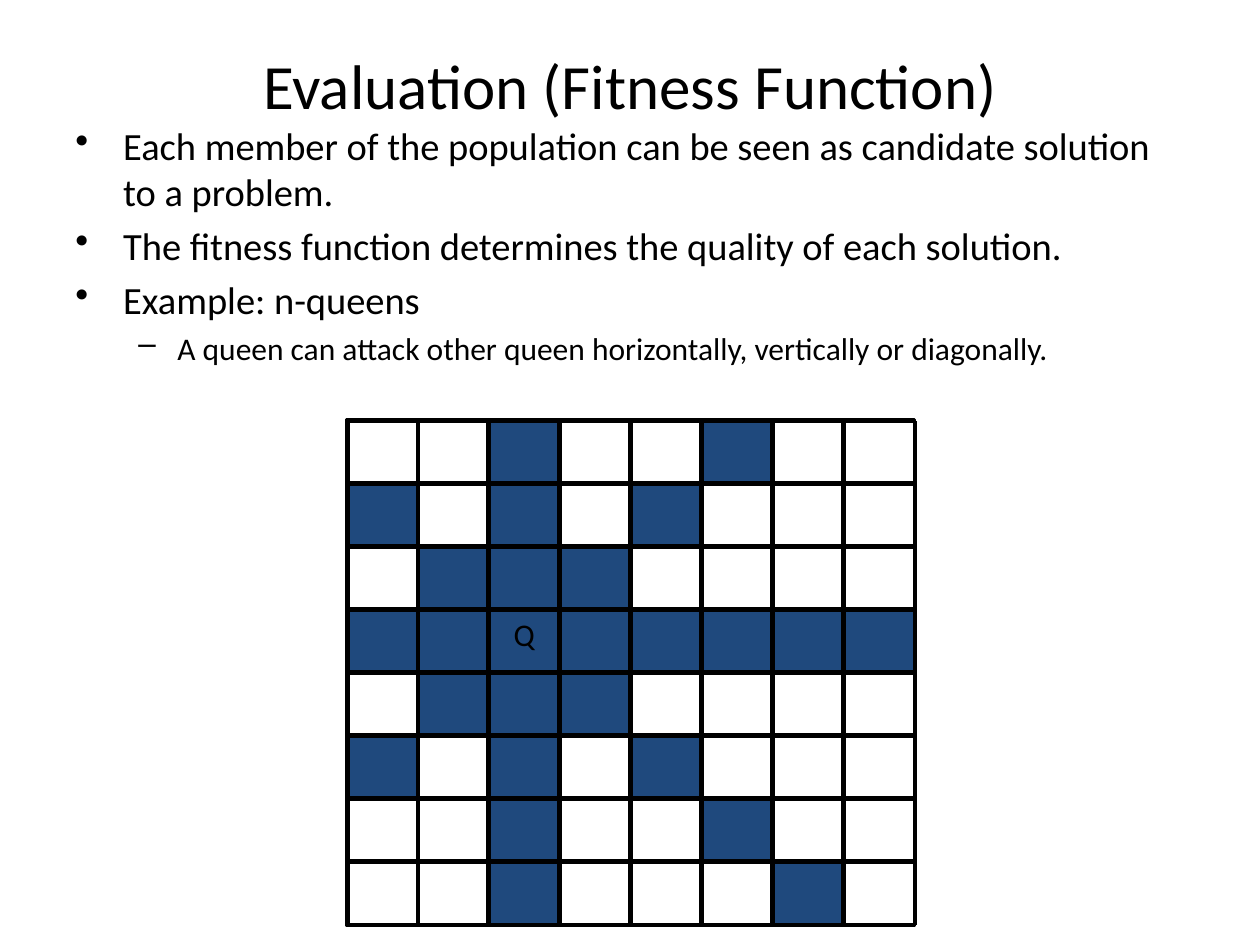
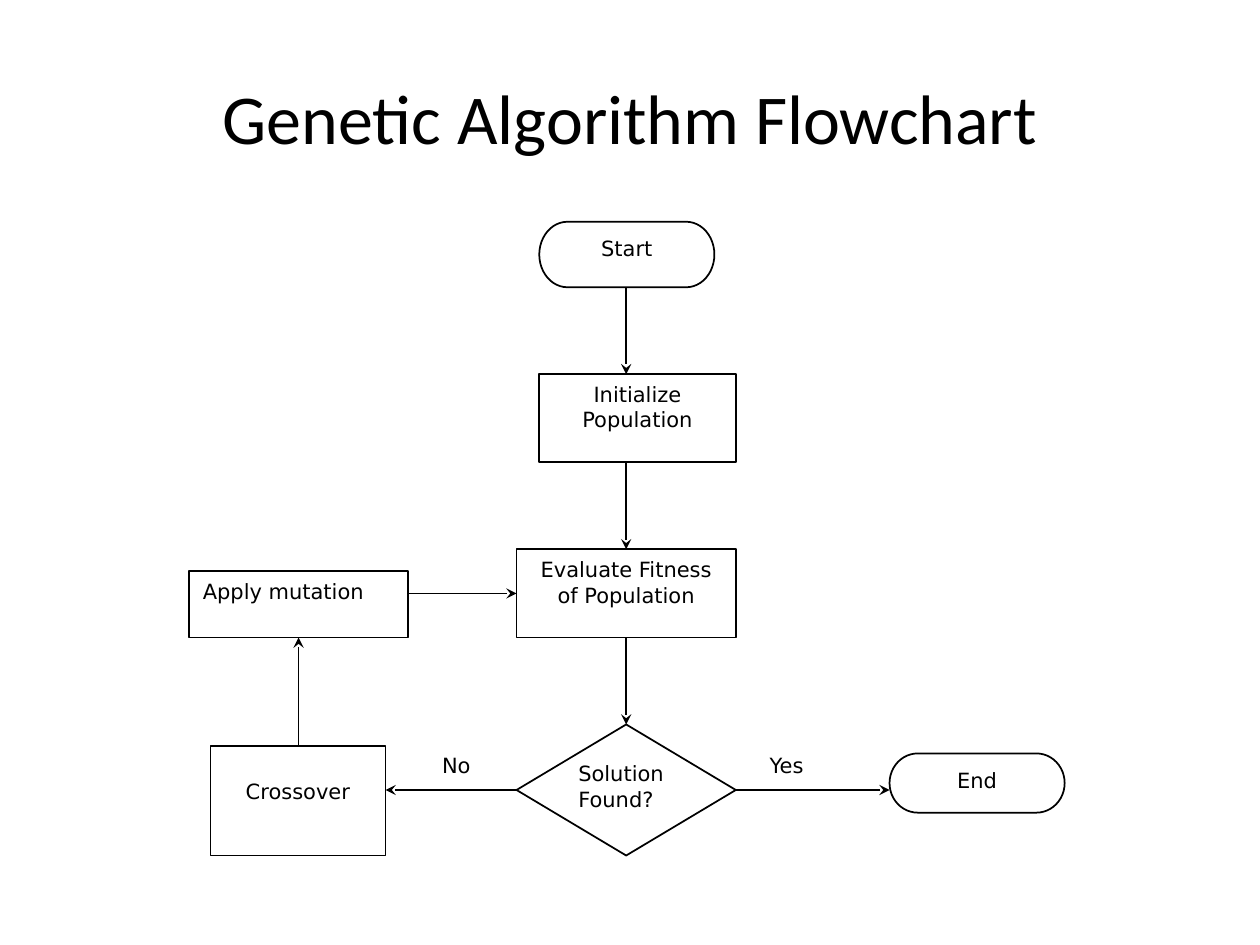
from dataclasses import dataclass

from lxml import etree
from pptx import Presentation
from pptx.dml.color import RGBColor
from pptx.enum.shapes import MSO_CONNECTOR, MSO_SHAPE
from pptx.enum.text import MSO_ANCHOR, PP_ALIGN
from pptx.oxml.ns import qn
from pptx.util import Inches, Pt

LEFT, CENTER = PP_ALIGN.LEFT, PP_ALIGN.CENTER
TOP, MIDDLE = MSO_ANCHOR.TOP, MSO_ANCHOR.MIDDLE
RECTANGLE, DIAMOND = MSO_SHAPE.RECTANGLE, MSO_SHAPE.DIAMOND
TERMINATOR = MSO_SHAPE.FLOWCHART_TERMINATOR
STRAIGHT = MSO_CONNECTOR.STRAIGHT


@dataclass(frozen=True)
class Theme:
    ink: RGBColor = RGBColor(0, 0, 0)
    paper: RGBColor = RGBColor(255, 255, 255)
    attacked: RGBColor = RGBColor(0x1F, 0x49, 0x7D)
    font: str = "Calibri"
    chart_font: str = "DejaVu Sans"
    chart_size: int = 12
    queen_size: int = 18
    body_sizes: tuple = (22, 18)
    grid_line: float = 2
    chart_line: float = 1


THEME = Theme()


@dataclass(frozen=True)
class Box:
    left: float
    top: float
    width: float
    height: float

    @property
    def right(self):
        return self.left + self.width

    @property
    def bottom(self):
        return self.top + self.height

    def place(self, left, top, width, height):
        """Turn a rectangle relative to this box into a slide rectangle."""
        return Box(self.left + left, self.top + top, width, height)

    def inset(self, across, down):
        return self.place(across, down, self.width - 2 * across, self.height - 2 * down)

    def lengths(self):
        return [Inches(n) for n in (self.left, self.top, self.width, self.height)]


def style_runs(paragraph, size, font, align):
    paragraph.alignment = align
    for run in paragraph.runs:
        run.font.size = Pt(size)
        run.font.name = font
        run.font.color.rgb = THEME.ink


def prepare_frame(shape, anchor=TOP, padded=True):
    text_frame = shape.text_frame
    text_frame.word_wrap = True
    text_frame.vertical_anchor = anchor
    text_frame.margin_left = text_frame.margin_right = Inches(0.1 if padded else 0)
    text_frame.margin_top = text_frame.margin_bottom = Inches(0.05 if padded else 0)
    return text_frame


def write_text(shape, text, size, font, align=LEFT, anchor=TOP, padded=True):
    text_frame = prepare_frame(shape, anchor, padded)
    text_frame.text = text
    style_runs(text_frame.paragraphs[0], size, font, align)


def add_title(slide, box, text, size):
    shape = slide.shapes.add_textbox(*box.lengths())
    write_text(shape, text, size, THEME.font, CENTER, MIDDLE)


def add_shape(slide, kind, box, fill=None, line_width=None):
    shape = slide.shapes.add_shape(kind, *box.lengths())
    shape.shadow.inherit = False
    if fill is None:
        shape.fill.background()
    else:
        shape.fill.solid()
        shape.fill.fore_color.rgb = fill
    if line_width is None:
        shape.line.fill.background()
    else:
        shape.line.color.rgb = THEME.ink
        shape.line.width = Pt(line_width)
    return shape


def add_line(slide, start, end, width, arrow=False):
    points = [Inches(n) for n in (*start, *end)]
    connector = slide.shapes.add_connector(STRAIGHT, *points)
    connector.line.color.rgb = THEME.ink
    connector.line.width = Pt(width)
    if arrow:
        line = connector.line._get_or_add_ln()
        etree.SubElement(line, qn("a:tailEnd"), type="stealth")
    etree.SubElement(connector._element.spPr, qn("a:effectLst"))


def add_bullets(slide, box, items):
    """Write (level, text) items with hanging bullets."""
    styles = (("•", 0.38, 0.38, 4.4), ("–", 0.81, 0.31, 3.6))
    text_frame = prepare_frame(slide.shapes.add_textbox(*box.lengths()))
    for index, (level, text) in enumerate(items):
        mark, margin, hanging, space = styles[level]
        paragraph = text_frame.paragraphs[0] if index == 0 else text_frame.add_paragraph()
        paragraph.text = text
        paragraph.level = level
        paragraph.space_before = Pt(space if index else 0)
        style_runs(paragraph, THEME.body_sizes[level], THEME.font, LEFT)
        properties = paragraph._p.get_or_add_pPr()
        properties.set("marL", str(Inches(margin)))
        properties.set("indent", str(-Inches(hanging)))
        color = etree.SubElement(properties, qn("a:buClr"))
        etree.SubElement(color, qn("a:srgbClr"), val=str(THEME.ink))
        etree.SubElement(properties, qn("a:buChar"), char=mark)


def add_queen_board(slide, box, queen_row, queen_column, count=8):
    """Draw the board and shade every square the queen attacks."""
    step_x, step_y = box.width / count, box.height / count
    overlap = 0.01
    for row in range(count):
        for column in range(count):
            down, across = abs(row - queen_row), abs(column - queen_column)
            attacked = down == 0 or across == 0 or down == across
            square = box.place(column * step_x, row * step_y,
                               step_x + overlap, step_y + overlap)
            shape = add_shape(slide, RECTANGLE, square,
                              THEME.attacked if attacked else None, THEME.grid_line)
            if down == across == 0:
                write_text(shape, "Q", THEME.queen_size, THEME.font, CENTER)

    grid = box.place(overlap, overlap, box.width, box.height)
    for index in range(count + 1):
        x, y = grid.left + index * step_x, grid.top + index * step_y
        add_line(slide, (grid.left, y), (grid.right, y), THEME.grid_line)
        add_line(slide, (x, grid.top), (x, grid.bottom), THEME.grid_line)


def add_node(slide, kind, box, text, padding, align=CENTER):
    add_shape(slide, kind, box, THEME.paper, THEME.chart_line)
    label = slide.shapes.add_textbox(*box.inset(*padding).lengths())
    write_text(label, text, THEME.chart_size, THEME.chart_font, align, padded=False)


def add_flowchart(slide, box):
    start = box.place(2.78, 0, 1.39, 0.52)
    initialize = box.place(2.78, 1.21, 1.56, 0.7)
    evaluate = box.place(2.6, 2.6, 1.74, 0.7)
    decision = box.place(2.6, 3.99, 1.74, 1.04)
    end = box.place(5.56, 4.22, 1.39, 0.47)
    crossover = box.place(0.17, 4.16, 1.39, 0.87)
    mutation = box.place(0, 2.77, 1.74, 0.53)

    for left, answer in ((1.91, "No"), (4.51, "Yes")):
        shape = add_shape(slide, RECTANGLE, box.place(left, 4.16, 0.69, 0.35), THEME.paper)
        write_text(shape, answer, THEME.chart_size, THEME.chart_font)

    for node in (
        (TERMINATOR, start, "Start", (0.16, 0.11)),
        (RECTANGLE, initialize, "Initialize Population", (0.1, 0.06)),
        (RECTANGLE, evaluate, "Evaluate Fitness of Population", (0.11, 0.06)),
        (DIAMOND, decision, "Solution Found?", (0.49, 0.29), LEFT),
        (TERMINATOR, end, "End", (0.16, 0.11)),
        (RECTANGLE, crossover, "Crossover", (0.11, 0.26)),
        (RECTANGLE, mutation, "Apply mutation", (0.11, 0.06), LEFT),
    ):
        add_node(slide, *node)

    main_x, loop_x = box.left + 3.47, box.left + 0.87
    mutation_y, decision_y = box.top + 2.95, box.top + 4.51
    for tail, head in (
        ((main_x, start.bottom), (main_x, initialize.top)),
        ((main_x, initialize.bottom), (main_x, evaluate.top)),
        ((main_x, evaluate.bottom), (main_x, decision.top)),
        ((decision.left, decision_y), (crossover.right, decision_y)),
        ((decision.right, decision_y), (end.left, decision_y)),
        ((loop_x, crossover.top), (loop_x, mutation.bottom)),
        ((mutation.right, mutation_y), (evaluate.left, mutation_y)),
    ):
        add_line(slide, tail, head, THEME.chart_line, arrow=True)


def build_fitness_slide(slide):
    add_title(slide, Box(0.75, 0.42, 8.5, 0.5), "Evaluation (Fitness Function)", 36)
    add_bullets(slide, Box(0.5, 0.92, 9, 5.78), (
        (0, "Each member of the population can be seen as candidate solution to a problem."),
        (0, "The fitness function determines the quality of each solution."),
        (0, "Example: n-queens"),
        (1, "A queen can attack other queen horizontally, vertically or diagonally."),
    ))
    add_queen_board(slide, Box(2.75, 3.33, 4.5, 4), queen_row=3, queen_column=2)


def build_flowchart_slide(slide):
    add_flowchart(slide, Box(1.5, 1.76, 6.95, 5.03))
    add_title(slide, Box(0.5, 0.3, 9, 1.25), "Genetic Algorithm Flowchart", 40)


def main():
    presentation = Presentation()
    presentation.slide_width, presentation.slide_height = Inches(10), Inches(7.5)
    blank = presentation.slide_layouts[6]
    for build in (build_fitness_slide, build_flowchart_slide):
        build(presentation.slides.add_slide(blank))
    presentation.save("out.pptx")


if __name__ == "__main__":
    main()
